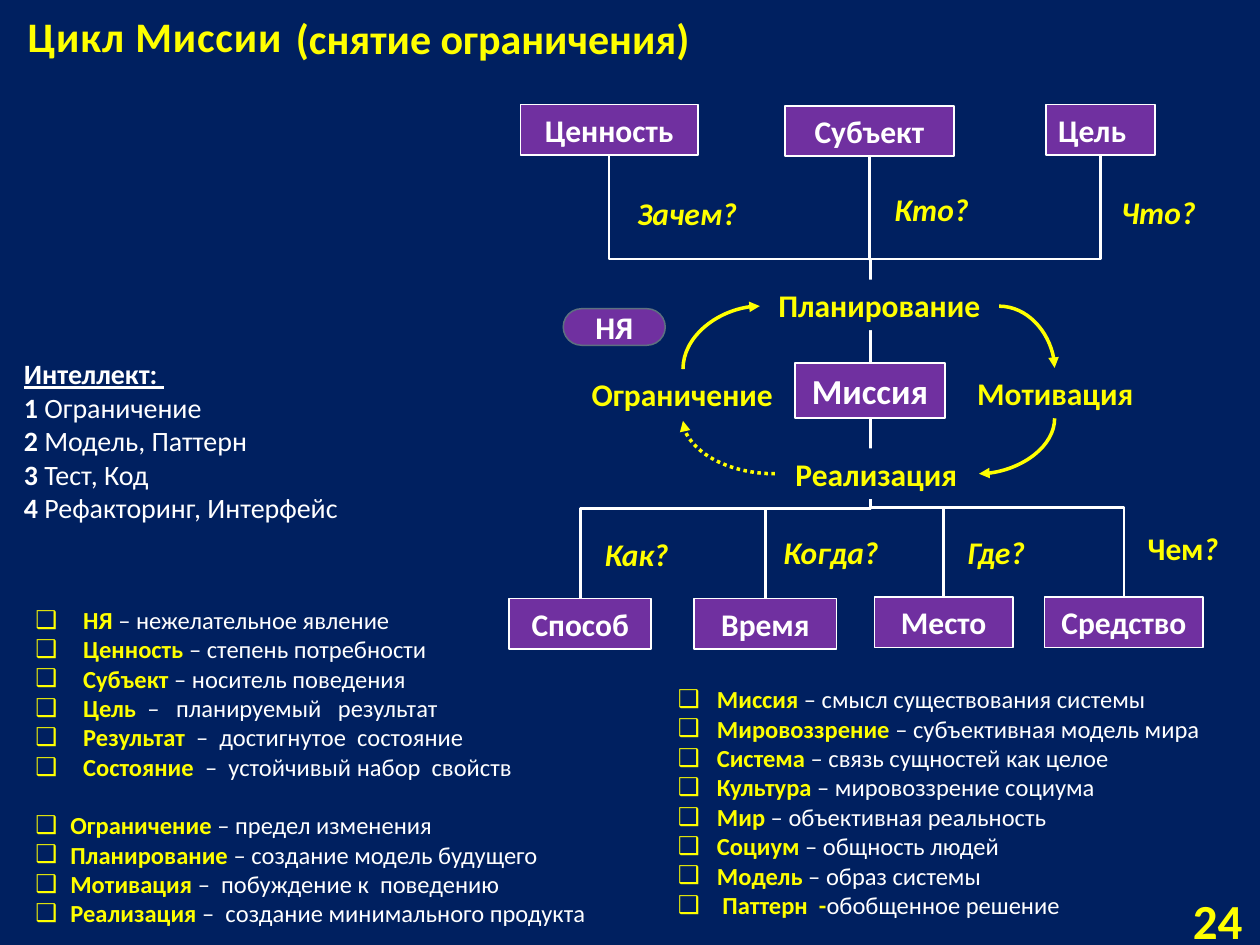
"""Builds the "Цикл Миссии" slide: a mission cycle diagram with its glossary."""
from lxml import etree
from pptx import Presentation
from pptx import util as u
from pptx.dml.color import RGBColor
from pptx.enum import dml, shapes, text
from pptx.oxml.ns import qn

COLORS = {"navy": "002060", "purple": "7030A0", "yellow": "FFFF00",
          "white": "FFFFFF", "slate": "5D7080"}
WIDTH, HEIGHT = u.Inches(10), u.Inches(7.5)
COL, ROW = WIDTH / 100, HEIGHT / 75
LINE_ROWS = 4
MISSION_COL, MISSION_TOP, MISSION_BOTTOM = 69.1, 28.8, 33.2

VALUES = [("Ценность", 41.3, 8.3, 14.1), ("Субъект", 62.3, 8.4, 13.4),
          ("Цель", 83, 8.3, 8.7)]
MEANS = [("Способ", 40.4, 47.5, 11.3), ("Время", 55.1, 47.5, 11.3),
         ("Место", 69.4, 47.4, 11), ("Средство", 82.9, 47.4, 12.6)]
STAGES = [("Ограничение", 45.5, 29.3, 17.3), ("Мотивация", 76, 29.2, 15.5),
          ("Планирование", 60.3, 22.2, 19), ("Реализация", 61.5, 35.6, 16.1)]
QUESTIONS = [("Зачем?", 49.6, 14.9, 11.4), ("Кто?", 70, 14.6, 9.9),
             ("Что?", 88, 14.8, 9.1), ("Как?", 47, 42, 8.2),
             ("Когда?", 61.2, 41.8, 11.4), ("Где?", 75.8, 41.8, 7.7)]
CYCLE = [((79.3, 24.3), (83.7, 29.2), None),
         ((83.7, 33.2), (77.7, 37.6), None),
         ((61.5, 37.6), (54.2, 33.4), dml.MSO_LINE.ROUND_DOT),
         ((54.2, 29.3), (60.3, 24.3), None)]

INTELLECT = [("Интеллект: ", ""), ("1", " Ограничение"), ("2", " Модель, Паттерн"),
             ("3", " Тест, Код"), ("4", " Рефакторинг, Интерфейс")]
CONCEPTS = [("НЯ ", "– нежелательное явление"),
            ("Ценность ", "– степень потребности"),
            ("Субъект ", "– носитель поведения"),
            ("Цель  ", "–   планируемый   результат"),
            ("Результат  ", "–  достигнутое  состояние"),
            ("Состояние  ", "–  устойчивый набор  свойств")]
STEPS = [("  Ограничение ", "– предел изменения"),
         ("  Планирование ", "– создание модель будущего"),
         ("  Мотивация ", "–  побуждение к  поведению"),
         ("  Реализация ", "–  создание минимального продукта")]
WORLDVIEW = [("Миссия", " – смысл существования системы"),
             ("Мировоззрение", " – субъективная модель мира"),
             ("Система", " – связь сущностей как целое"),
             ("Культура", " – мировоззрение социума"),
             ("Мир", " – объективная реальность"),
             ("Социум", " – общность людей"),
             ("Модель", " – образ системы"),
             (" Паттерн  -", "обобщенное решение")]


def rgb(name):
    return RGBColor.from_string(COLORS[name])


def cells(left, top, wide, high):
    return [round(n) for n in (left * COL, top * ROW, wide * COL, high * ROW)]


def add_run(paragraph, words, color="yellow", size=18, **style):
    run = paragraph.add_run()
    run.text = words
    formats = {"name": "Calibri", "size": u.Pt(size), "bold": True, **style}
    for key, value in formats.items():
        setattr(run.font, key, value)
    run.font.color.rgb = rgb(color)
    return run


def set_frame(holder, anchor=text.MSO_ANCHOR.TOP):
    frame = holder.text_frame
    formats = {"word_wrap": True, "auto_size": text.MSO_AUTO_SIZE.NONE,
               "vertical_anchor": anchor}
    for key, value in formats.items():
        setattr(frame, key, value)
    return frame


def move(holder, area):
    for key, value in zip(("left", "top", "width", "height"), cells(*area)):
        setattr(holder, key, value)


def add_label(slide, words, area, align=text.PP_ALIGN.LEFT, **style):
    label = slide.shapes.add_textbox(*cells(*area))
    paragraph = set_frame(label).paragraphs[0]
    paragraph.alignment = align
    add_run(paragraph, words, **style)
    return paragraph


def add_box(slide, words, area, fill="purple", edge="white", color="white", size=18,
            kind=shapes.MSO_SHAPE.RECTANGLE, anchor=text.MSO_ANCHOR.TOP,
            align=text.PP_ALIGN.CENTER, weight=1):
    box = slide.shapes.add_shape(kind, *cells(*area))
    box.shadow.inherit = False
    box.fill.solid()
    box.fill.fore_color.rgb = rgb(fill)
    if edge:
        box.line.color.rgb = rgb(edge)
        box.line.width = u.Pt(weight)
    else:
        box.line.fill.background()
    paragraph = set_frame(box, anchor).paragraphs[0]
    paragraph.alignment = align
    add_run(paragraph, words, color=color, size=size)
    return box


def add_link(slide, start, end, preset, color, weight, dash=None, arrow=False):
    """Draws a connector whose turn and flips follow from its direction."""
    (x1, y1), (x2, y2) = start, end
    wide, high = abs(x2 - x1), abs(y2 - y1)
    upward_left = (180, "") if preset == "curvedConnector2" else (270, "V")
    turn, flips = {(True, True): (0, ""), (False, True): (90, ""),
                   (True, False): (90, "HV"),
                   (False, False): upward_left}[x2 > x1, y2 > y1]
    if turn % 180:
        wide, high = high, wide
    left, top = (x1 + x2 - wide) / 2, (y1 + y2 - high) / 2
    x, y, w, h = cells(left, top, wide, high)
    link = slide.shapes.add_connector(shapes.MSO_CONNECTOR.ELBOW, x, y, x + w, y + h)
    link.line.color.rgb = rgb(color)
    link.line.width = u.Pt(weight)
    if dash:
        link.line.dash_style = dash
    properties = link._element.spPr
    frame = properties.find(qn("a:xfrm"))
    frame.set("rot", str(turn * 60000))
    for flip in flips:
        frame.set("flip" + flip, "1")
    properties.find(qn("a:prstGeom")).set("prst", preset)
    if arrow:
        etree.SubElement(properties.find(qn("a:ln")), qn("a:tailEnd"), type="triangle")
    etree.SubElement(properties, qn("a:effectLst"))


def fill_list(body, entries, area, indent=0, size=14, color="yellow"):
    move(body, area)
    frame = set_frame(body)
    for number, (term, meaning) in enumerate(entries):
        paragraph = frame.add_paragraph() if number else frame.paragraphs[0]
        paragraph.space_before = u.Pt(0)
        properties = paragraph._p.get_or_add_pPr()
        properties.set("marL", str(u.Inches(indent)))
        properties.set("indent", str(-u.Inches(indent)))
        if indent:
            etree.SubElement(properties, qn("a:buChar"), char="❑")
        else:
            etree.SubElement(properties, qn("a:buNone"))
        add_run(paragraph, term, color=color, size=size, underline=not meaning)
        if meaning:
            add_run(paragraph, meaning, color="white", size=size, bold=False)


def add_heading(slide):
    title = slide.shapes.title
    move(title, (1.2, 0.3, 25.4, 5))
    paragraph = set_frame(title, text.MSO_ANCHOR.BOTTOM).paragraphs[0]
    paragraph.alignment = text.PP_ALIGN.LEFT
    add_run(paragraph, "Цикл Миссии", size=24)._r.get_or_add_rPr().set("spc", "50")
    add_label(slide, "(снятие ограничения)", (22.5, 0.5, 35.8, 5), size=24)
    add_label(slide, "24", (92.5, 70.2, 7.1, 5), text.PP_ALIGN.RIGHT, size=28)


def add_diagram(slide):
    for _, left, top, wide in VALUES:
        add_link(slide, (MISSION_COL, MISSION_TOP), (left + wide / 2, top + LINE_ROWS),
                 "bentConnector3", "white", 1.5)
    for _, left, top, wide in MEANS:
        add_link(slide, (left + wide / 2, top), (MISSION_COL, MISSION_BOTTOM),
                 "bentConnector3", "white", 1.5)
    for words, left, top, wide in VALUES + MEANS:
        align = text.PP_ALIGN.LEFT if words == "Цель" else text.PP_ALIGN.CENTER
        add_box(slide, words, (left, top, wide, LINE_ROWS), align=align)
    for words, left, top, wide in STAGES:
        add_box(slide, words, (left, top, wide, LINE_ROWS), "navy", None, "yellow")
    for start, end, dash in CYCLE:
        add_link(slide, start, end, "curvedConnector2", "yellow", 2, dash, arrow=True)
    add_box(slide, "Миссия", (63.1, MISSION_TOP, 11.9, MISSION_BOTTOM - MISSION_TOP),
            size=20)
    problem = add_box(slide, "НЯ", (44.7, 24.5, 8.1, 2.9), edge="slate", weight=0.85,
                      kind=shapes.MSO_SHAPE.ROUNDED_RECTANGLE,
                      anchor=text.MSO_ANCHOR.MIDDLE)
    problem.adjustments[0] = 0.5
    for words, left, top, wide in QUESTIONS:
        add_label(slide, words, (left, top, wide, LINE_ROWS), italic=True)
    tool_question = add_label(slide, "Чем", (90.1, 41.5, 8.2, LINE_ROWS))
    add_run(tool_question, "?", italic=True)


def main():
    deck = Presentation()
    deck.slide_width, deck.slide_height = WIDTH, HEIGHT
    slide = deck.slides.add_slide(deck.slide_layouts.get_by_name("Comparison"))
    slide.background.fill.solid()
    slide.background.fill.fore_color.rgb = rgb("navy")
    add_heading(slide)
    add_diagram(slide)
    intellect, concepts, steps, worldview = list(slide.placeholders)[1:]
    fill_list(intellect, INTELLECT, (0.9, 27.8, 29.1, 14.5), size=16, color="white")
    fill_list(concepts, CONCEPTS, (1.8, 47.5, 43.1, 15.1), 0.38)
    fill_list(steps, STEPS, (1.8, 63.8, 48.8, 10.4), 0.19)
    fill_list(worldview, WORLDVIEW, (52.8, 53.8, 44, 19.9), 0.31)
    deck.save("out.pptx")


if __name__ == "__main__":
    main()
